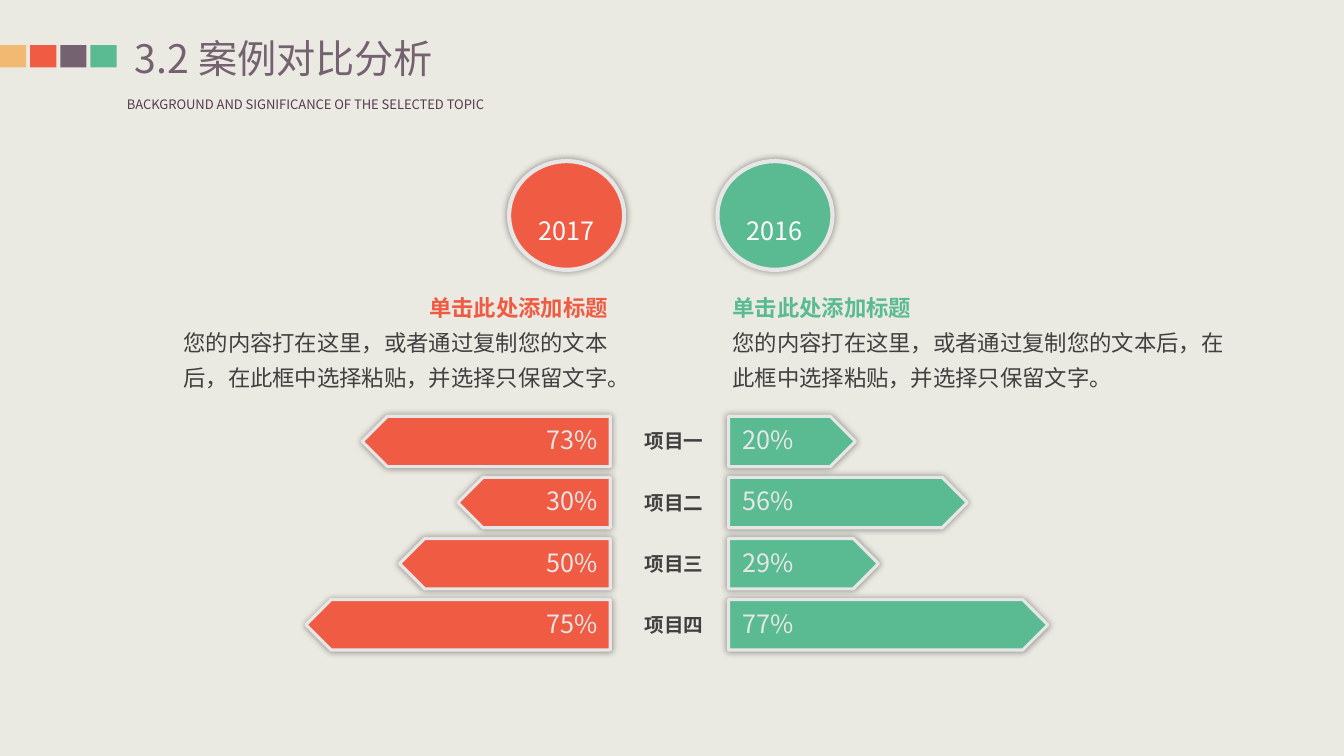
from lxml import etree
from pptx import Presentation
from pptx.dml.color import RGBColor
from pptx.enum.shapes import MSO_SHAPE
from pptx.enum.text import MSO_ANCHOR, MSO_AUTO_SIZE, PP_ALIGN
from pptx.oxml.ns import qn
from pptx.util import Cm, Pt

LEFT, CENTER, RIGHT = PP_ALIGN.LEFT, PP_ALIGN.CENTER, PP_ALIGN.RIGHT
TOP, MIDDLE = MSO_ANCHOR.TOP, MSO_ANCHOR.MIDDLE
RECTANGLE, OVAL, PENTAGON = MSO_SHAPE.RECTANGLE, MSO_SHAPE.OVAL, MSO_SHAPE.PENTAGON
NO_AUTOFIT = MSO_AUTO_SIZE.NONE

FONT = "Noto Sans CJK SC"
COLORS = {
    "background": "EBEAE2", "orange": "F2B973", "red": "EF5B43",
    "plum": "756271", "green": "5ABB93", "dark plum": "543C4F",
    "border": "E7E6E6", "text": "404040", "white": "FDFDFD",
}
HEADING = "单击此处添加标题"
BODY = "您的内容打在这里，或者通过复制您的文本后，在此框中选择粘贴，并选择只保留文字。"
ITEMS = [
    ("项目一", "73%", 6.25, "20%", 3.2),
    ("项目二", "30%", 3.84, "56%", 6.02),
    ("项目三", "50%", 5.31, "29%", 3.78),
    ("项目四", "75%", 7.67, "77%", 8.05),
]
ROW_TOP, ROW_PITCH, ARROW_HEIGHT = 10.49, 1.54, 1.27
LEFT_ARROW_EDGE, RIGHT_ARROW_EDGE = 15.38, 18.36


def color(name):
    return RGBColor.from_string(COLORS[name])


def write(frame, text, size=18, fill="text", bold=False, align=LEFT, spacing=None,
          before=None, anchor=TOP, insets=(0.25, 0.13), wrap=False, add=False):
    """Write one formatted paragraph into a text frame."""
    frame.auto_size = NO_AUTOFIT
    frame.word_wrap = wrap
    frame.vertical_anchor = anchor
    frame.margin_left = frame.margin_right = Cm(insets[0])
    frame.margin_top = frame.margin_bottom = Cm(insets[1])
    paragraph = frame.add_paragraph() if add else frame.paragraphs[0]
    paragraph.alignment = align
    if spacing:
        paragraph.line_spacing = spacing
    if before:
        paragraph.space_before = Pt(before)
    run = paragraph.add_run()
    run.text = text
    run.font.size, run.font.bold, run.font.name = Pt(size), bold, FONT
    run.font.color.rgb = color(fill)
    east_asian = etree.SubElement(run.font._element, qn("a:ea"))
    east_asian.set("typeface", FONT)


class ComparisonSlide:
    """Hold the slide and draw its elements in one style."""

    def __init__(self, presentation):
        self.slide = presentation.slides.add_slide(presentation.slide_layouts[5])
        background = self.slide.background.fill
        background.solid()
        background.fore_color.rgb = color("background")

    def title(self, text, left, top, width, height):
        """Move and format the title placeholder."""
        title = self.slide.shapes.title
        title.left, title.top = Cm(left), Cm(top)
        title.width, title.height = Cm(width), Cm(height)
        write(title.text_frame, text, size=28, fill="plum", anchor=MIDDLE,
              insets=(0, 0), wrap=True)

    def text(self, text, left, top, width, height, **style):
        """Add a text box and return its frame."""
        box = self.slide.shapes.add_textbox(Cm(left), Cm(top), Cm(width), Cm(height))
        write(box.text_frame, text, **style)
        return box.text_frame

    def shape(self, kind, left, top, width, height, fill, border=None, flip=False):
        """Add a filled shape; a bordered one also gets a soft shadow."""
        shape = self.slide.shapes.add_shape(kind, Cm(left), Cm(top), Cm(width), Cm(height))
        shape.fill.solid()
        shape.fill.fore_color.rgb = color(fill)
        shape.shadow.inherit = False
        if flip:
            shape._element.spPr.get_or_add_xfrm().set("flipH", "1")
        if border is None:
            shape.line.fill.background()
            return shape
        shape.line.color.rgb = color("border")
        shape.line.width = Pt(border)
        effects = shape._element.spPr.find(qn("a:effectLst"))
        shadow = etree.SubElement(effects, qn("a:outerShdw"), blurRad=str(Pt(5)),
                                  dist="0", dir="0", algn="ctr", rotWithShape="0")
        black = etree.SubElement(shadow, qn("a:srgbClr"), val="000000")
        etree.SubElement(black, qn("a:alpha"), val="40000")
        return shape

    def year(self, text, left, fill):
        """Add a year circle."""
        circle = self.shape(OVAL, left, 4.06, 2.9, 2.74, fill, border=3)
        write(circle.text_frame, text, fill="white", align=CENTER, spacing=2,
              before=3.6, anchor=MIDDLE, wrap=True)

    def description(self, left, width, fill, align):
        """Add a coloured heading with its body text."""
        style = {"size": 16, "align": align, "spacing": 1.3,
                 "insets": (0.1, 0.05), "wrap": True}
        frame = self.text(HEADING, left, 7.16, width, 2.77, fill=fill, bold=True, **style)
        write(frame, BODY, add=True, **style)

    def arrow(self, value, left, top, width, fill, label_left, flip=False):
        """Add a bar arrow with its percentage."""
        self.shape(PENTAGON, left, top, width, ARROW_HEIGHT, fill, border=2.25, flip=flip)
        self.text(value, label_left, top + 0.11, 1.7, 0.97, fill="border",
                  align=CENTER, insets=(0.18, 0.1))


def main():
    """Build and save the slide."""
    presentation = Presentation()
    presentation.slide_width, presentation.slide_height = Cm(33.87), Cm(19.05)
    page = ComparisonSlide(presentation)

    for index, fill in enumerate(("orange", "red", "plum", "green")):
        page.shape(RECTANGLE, index * 0.76, 1.14, 0.66, 0.56, fill)
    page.title("3.2 案例对比分析", 3.4, 0.86, 10.13, 1.19)
    page.text("BACKGROUND AND SIGNIFICANCE OF THE SELECTED TOPIC",
              2.95, 2.31, 10.34, 0.66, size=9.3, fill="dark plum")

    for row, (item, value_2017, width_2017, value_2016, width_2016) in enumerate(ITEMS):
        top = ROW_TOP + row * ROW_PITCH
        page.arrow(value_2017, LEFT_ARROW_EDGE - width_2017, top, width_2017, "red",
                   13.57, flip=True)
        page.arrow(value_2016, RIGHT_ARROW_EDGE, top, width_2016, "green", 18.52)
        page.text(item, 16.05, top + 0.23, 1.88, 0.79, size=14, bold=True,
                  align=CENTER, insets=(0.18, 0.1))

    page.year("2016", 18.08, "green")
    page.year("2017", 12.83, "red")
    page.description(18.36, 12.98, "green", LEFT)
    page.description(4.17, 11.25, "red", RIGHT)
    presentation.save("out.pptx")


if __name__ == "__main__":
    main()
